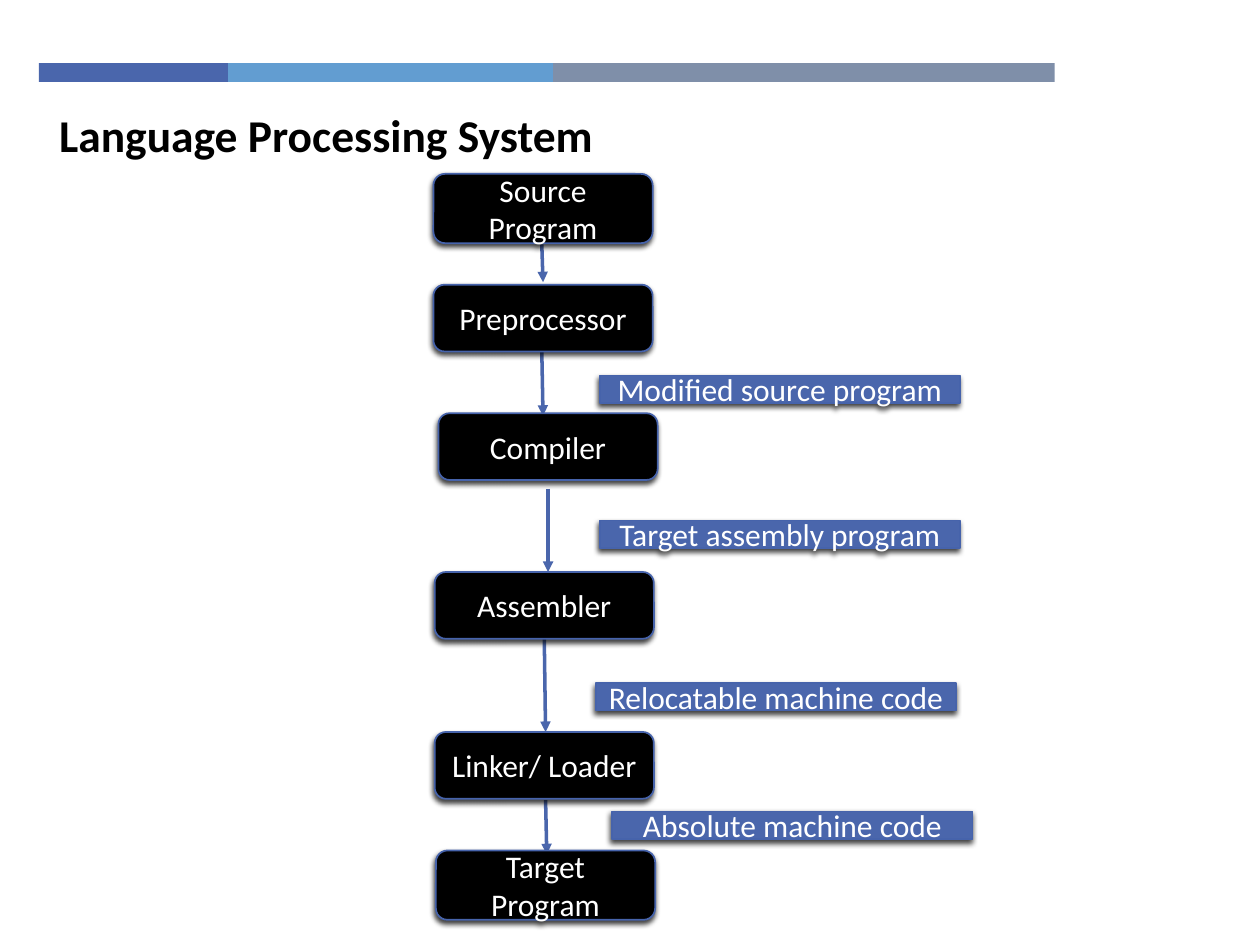
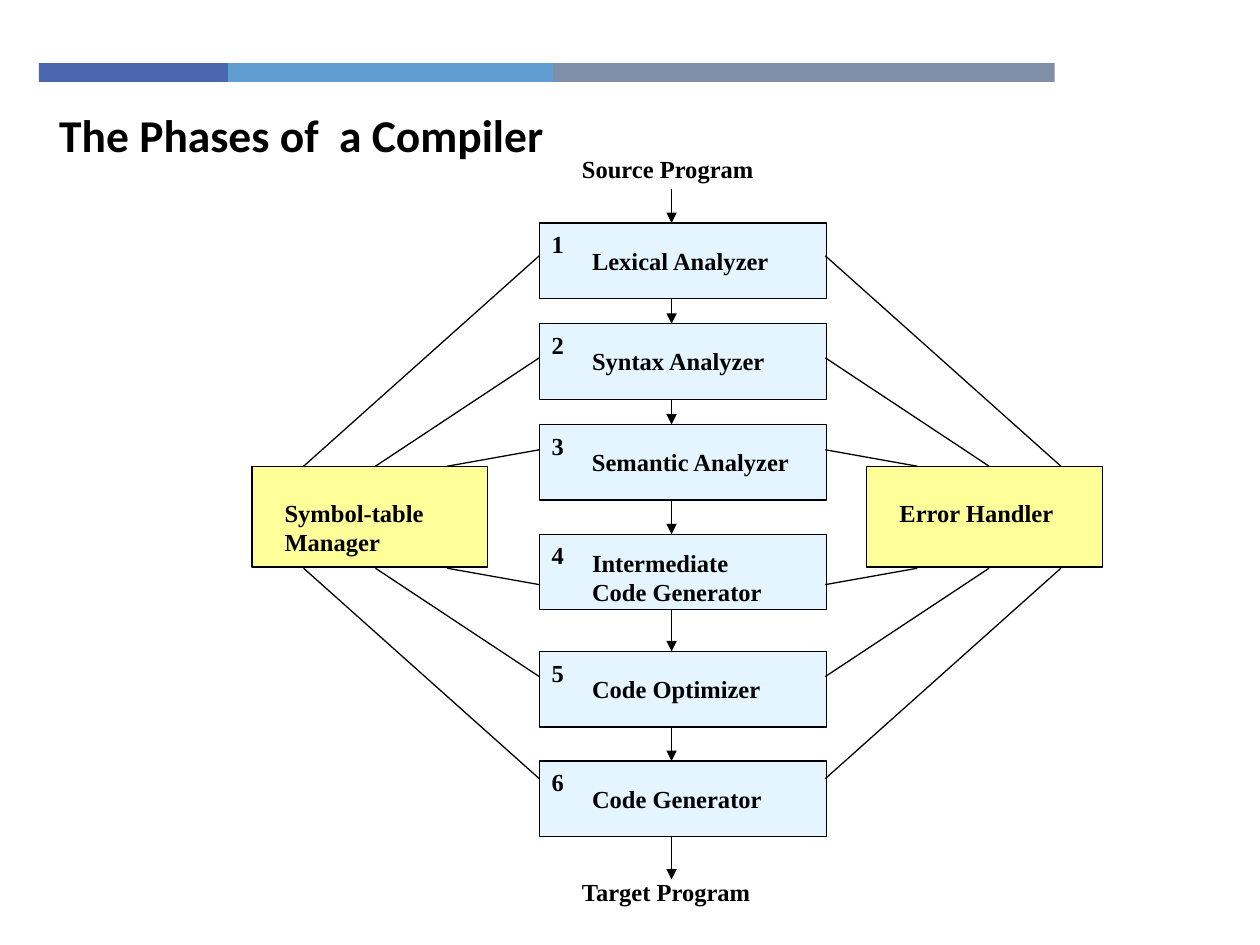
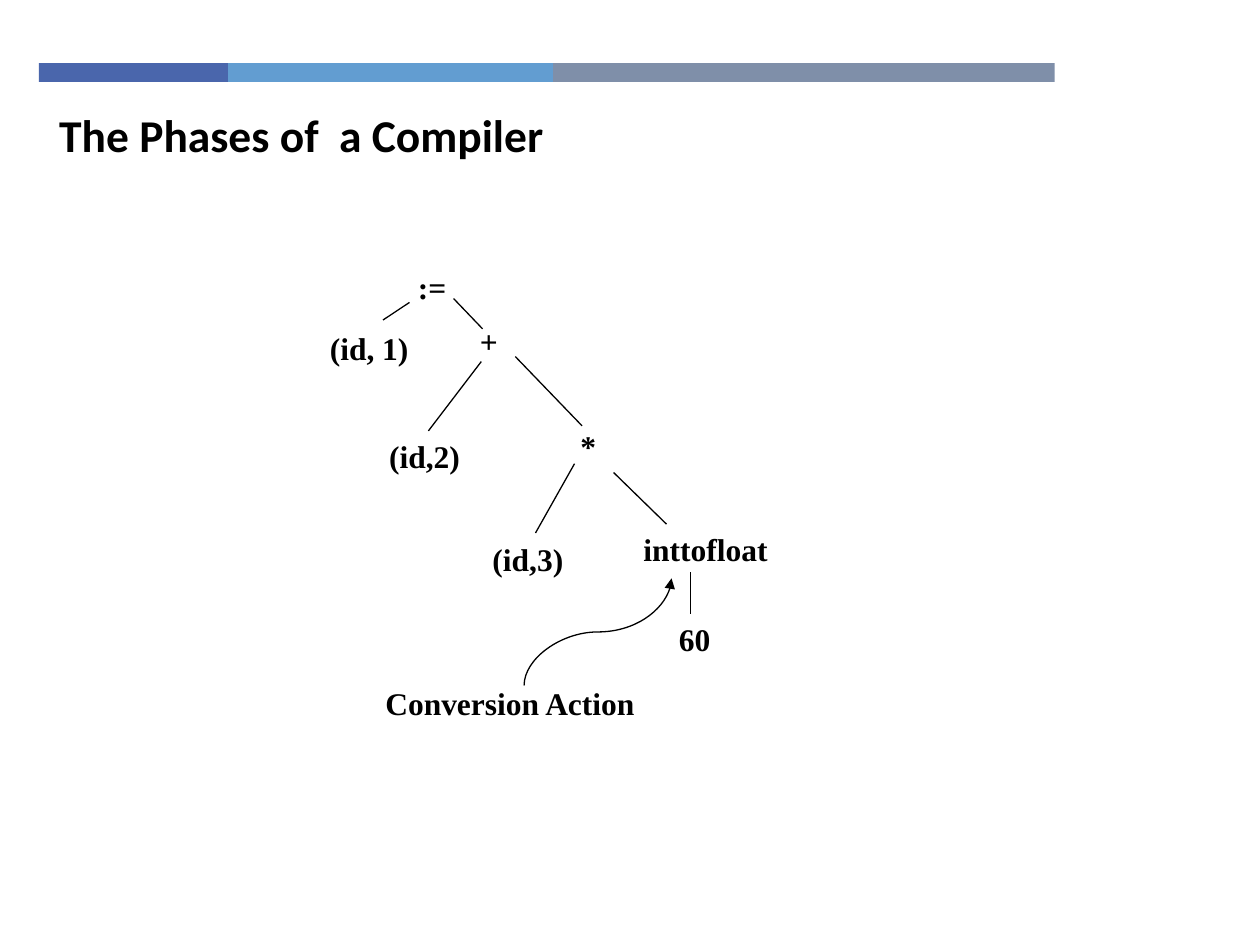
from lxml import etree
from pptx import Presentation
from pptx.dml.color import RGBColor
from pptx.enum.dml import MSO_LINE
from pptx.enum.shapes import MSO_CONNECTOR, MSO_SHAPE
from pptx.enum.text import MSO_ANCHOR, MSO_AUTO_SIZE, PP_ALIGN
from pptx.oxml.ns import qn
from pptx.util import Pt

PX = 9144
RECT, ROUNDED = MSO_SHAPE.RECTANGLE, MSO_SHAPE.ROUNDED_RECTANGLE
STRAIGHT, CURVED = MSO_CONNECTOR.STRAIGHT, MSO_CONNECTOR.CURVE
LEFT, CENTER = PP_ALIGN.LEFT, PP_ALIGN.CENTER
TOP, MIDDLE = MSO_ANCHOR.TOP, MSO_ANCHOR.MIDDLE
NO_FIT = MSO_AUTO_SIZE.NONE
SOLID = MSO_LINE.SOLID
TITLE_ONLY = 5
SANS, SERIF = "Calibri", "Times New Roman"
COLORS = {
    "black": "000000",
    "white": "FFFFFF",
    "blue": "4A66AC",
    "sky": "629DD1",
    "slate": "7F8FA9",
    "edge": "4663AB",
    "phase": "CCECFF",
    "helper": "FFFF99",
}
BANDS = [(31, 150, "blue"), (181, 258, "sky"), (439, 398, "slate")]


def rgb(name):
    return RGBColor.from_string(COLORS[name])


def emu(*lengths):
    return [length * PX for length in lengths]


class Deck:
    def __init__(self):
        self.prs = Presentation()
        self.prs.slide_width, self.prs.slide_height = emu(1000, 750)
        self.layout = self.prs.slide_layouts[TITLE_ONLY]
        self.slide = None

    def new_slide(self, title):
        first = self.slide is None
        self.slide = self.prs.slides.add_slide(self.layout)
        if first:
            self.add_bands()
        heading = self.slide.shapes.title
        heading.left, heading.top, heading.width, heading.height = emu(37, 80, 716, 54)
        self.set_text(heading, title, 26, SANS, bold=True)

    def add_bands(self):
        for left, width, color in BANDS:
            band = self.box(left, 50, width, 15, color)
            self.layout.shapes.element.append(band.element)

    def set_text(self, holder, text, size, font, color="black", bold=False, align=LEFT, anchor=TOP):
        frame = holder.text_frame
        frame.text = text
        frame.word_wrap = True
        frame.auto_size = NO_FIT
        frame.vertical_anchor = anchor
        paragraph = frame.paragraphs[0]
        paragraph.alignment = align
        paragraph.font.name = font
        paragraph.font.size = Pt(size)
        paragraph.font.bold = bold
        paragraph.font.color.rgb = rgb(color)

    def box(self, left, top, width, height, fill, edge=None, weight=0.75, kind=RECT, opacity=100):
        shape = self.slide.shapes.add_shape(kind, *emu(left, top, width, height))
        shape.shadow.inherit = False
        shape.fill.solid()
        shape.fill.fore_color.rgb = rgb(fill)
        if opacity < 100:
            tint = shape.element.spPr.find(qn("a:solidFill"))[0]
            etree.SubElement(tint, qn("a:alpha"), val=str(opacity * 1000))
        if edge:
            shape.line.color.rgb = rgb(edge)
            shape.line.width = Pt(weight)
        else:
            shape.line.fill.background()
        return shape

    def raised_box(self, left, top, width, height, fill, text, kind=RECT):
        shape = self.box(left, top, width, height, fill, "edge", 1, kind)
        effects = shape.element.spPr.find(qn("a:effectLst"))
        shadow = etree.SubElement(
            effects, qn("a:outerShdw"), blurRad="38100", dist="25400", dir="6600000", rotWithShape="0"
        )
        tint = etree.SubElement(shadow, qn("a:srgbClr"), val=COLORS["black"])
        etree.SubElement(tint, qn("a:alpha"), val="75000")
        self.set_text(shape, text, 18, SANS, "white", align=CENTER, anchor=MIDDLE)

    def label(self, left, top, width, height, text, size=14, align=LEFT):
        holder = self.slide.shapes.add_textbox(*emu(left, top, width, height))
        self.set_text(holder, text, size, SERIF, bold=True, align=align)

    def line(self, x1, y1, x2, y2, color="black", weight=0.75, arrow=False, kind=STRAIGHT):
        connector = self.slide.shapes.add_connector(kind, *emu(x1, y1, x2, y2))
        connector.line.color.rgb = rgb(color)
        connector.line.width = Pt(weight)
        connector.line.dash_style = SOLID
        properties = connector.element.spPr
        if arrow:
            etree.SubElement(properties.find(qn("a:ln")), qn("a:tailEnd"), type="triangle")
        etree.SubElement(properties, qn("a:effectLst"))
        return connector


def language_processing(deck):
    deck.new_slide("Language Processing System")
    flow = [
        (430, 194, 431, 224),
        (430, 279, 431, 330),
        (435, 388, 435, 454),
        (432, 507, 433, 581),
        (433, 635, 434, 678),
    ]
    for ends in flow:
        deck.line(*ends, color="blue", weight=2, arrow=True)
    stages = [
        (344, 138, 55, "Source Program"),
        (344, 226, 53, "Preprocessor"),
        (348, 328, 53, "Compiler"),
        (345, 454, 53, "Assembler"),
        (345, 581, 53, "Linker/ Loader"),
        (346, 675, 55, "Target Program"),
    ]
    for left, top, height, stage in stages:
        deck.raised_box(left, top, 174, height, "black", stage, ROUNDED)
    outputs = [
        (476, 298, "Modified source program"),
        (476, 413, "Target assembly program"),
        (473, 542, "Relocatable machine code"),
        (486, 644, "Absolute machine code"),
    ]
    for left, top, output in outputs:
        deck.raised_box(left, top, 286, 22, "blue", output)


def compiler_phases(deck):
    deck.new_slide("The Phases of  a Compiler")
    phases = [
        (177, "Lexical Analyzer", 13, 171),
        (257, "Syntax Analyzer", 13, 171),
        (337, "Semantic Analyzer", 13, 236),
        (424, "Intermediate Code Generator", 6, 171),
        (517, "Code Optimizer", 13, 171),
        (604, "Code Generator", 13, 171),
    ]
    height = 60
    deck.label(452, 117, 219, 33, "Source Program")
    for number, (top, phase, drop, width) in enumerate(phases, 1):
        deck.box(428, top, 228, height, "phase", "black", opacity=50)
        deck.label(460, top + drop, width, 33, phase)
        deck.label(428, top, 24, 33, str(number))
    deck.label(452, 691, 219, 33, "Target Program")

    tops = [phase[0] for phase in phases]
    starts = [150] + [top + height for top in tops]
    for start, end in zip(starts, tops + [698]):
        deck.line(533, start, 533, end, arrow=True)

    for left, helper in [(200, "Symbol-table Manager"), (688, "Error Handler")]:
        deck.box(left, 370, 187, 80, "helper", "black")
        deck.label(left + 16, 390, 155, 57, helper)

    mirror_x, mirror_y = 1083, 821
    for phase_y, helper_x in [(203, 241), (284, 298), (357, 355)]:
        for y1, y2 in [(phase_y, 370), (mirror_y - phase_y, mirror_y - 370)]:
            deck.line(428, y1, helper_x, y2)
            deck.line(mirror_x - 428, y1, mirror_x - helper_x, y2)


def syntax_tree(deck):
    deck.new_slide("The Phases of  a Compiler")
    nodes = [
        (214, 256, 158, "(id, 1)"),
        (258, 342, 158, "(id,2)"),
        (340, 424, 158, "(id,3)"),
        (301, 208, 84, ":="),
        (346, 251, 84, "+"),
        (425, 334, 84, "*"),
        (497, 416, 126, "inttofloat"),
    ]
    for left, top, width, node in nodes:
        deck.label(left, top, width, 40, node, 18, CENTER)
    branches = [
        (325, 240, 304, 254),
        (360, 237, 383, 261),
        (382, 287, 340, 342),
        (409, 283, 462, 338),
        (456, 368, 425, 423),
        (487, 375, 529, 416),
        (548, 454, 548, 487),
    ]
    for ends in branches:
        deck.line(*ends)
    deck.label(529, 487, 67, 40, "60", 18)
    deck.label(296, 538, 233, 40, "Conversion Action", 18)
    conversion = deck.line(432, 443, 517, 560, arrow=True, kind=CURVED)
    conversion.rotation = 270


def main():
    deck = Deck()
    language_processing(deck)
    compiler_phases(deck)
    syntax_tree(deck)
    deck.prs.save("out.pptx")


if __name__ == "__main__":
    main()
